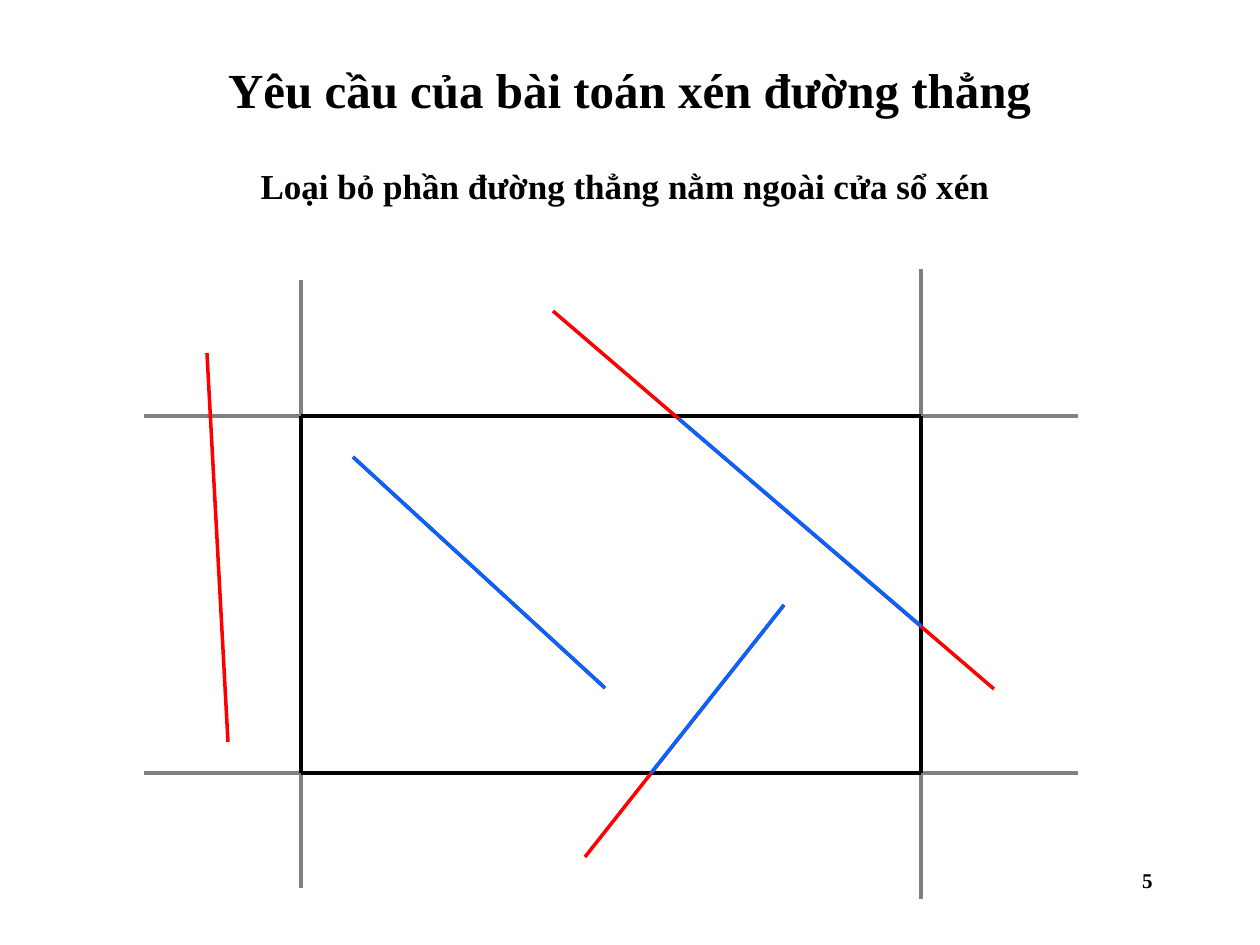
import pptx
import pptx.dml.color
import pptx.enum.shapes
import pptx.enum.text
import pptx.oxml.ns
import pptx.util
import lxml.etree

EMU_PER_PX = 914400 / 126
FONT = "Times New Roman"
BLACK, GRAY, RED, BLUE = "000000", "808080", "FF0000", "0066FF"
LEFT, RIGHT, TOP, BOTTOM = 301, 921, 416, 773


def px(length):
    return pptx.util.Emu(round(length * EMU_PER_PX))


def color(value):
    return pptx.dml.color.RGBColor.from_string(value)


def set_values(target, values):
    for name, value in values.items():
        setattr(target, name, value)


def write_text(shape, box, text, size, alignment, anchor):
    set_values(shape, dict(zip(("left", "top", "width", "height"), map(px, box))))
    frame = shape.text_frame
    set_values(frame, {
        "word_wrap": True,
        "auto_size": pptx.enum.text.MSO_AUTO_SIZE.NONE,
        "vertical_anchor": anchor,
    })
    paragraph = frame.paragraphs[0]
    paragraph.text = text
    set_values(paragraph, {"alignment": alignment, "space_before": pptx.util.Pt(0)})
    font = paragraph.runs[0].font
    set_values(font, {"name": FONT, "size": pptx.util.Pt(size), "bold": True})
    font.color.rgb = color(BLACK)
    return paragraph


def remove_bullet(paragraph):
    properties = paragraph._p.get_or_add_pPr()
    set_values_xml = {"marL": "0", "indent": "0"}
    properties.attrib.update(set_values_xml)
    lxml.etree.SubElement(properties, pptx.oxml.ns.qn("a:buNone"))


def add_line(slide, ends, line_color):
    line = slide.shapes.add_connector(
        pptx.enum.shapes.MSO_CONNECTOR.STRAIGHT, *map(px, ends))
    line.line.color.rgb = color(line_color)
    line.line.width = pptx.util.Pt(2)
    lxml.etree.SubElement(line._element.spPr, pptx.oxml.ns.qn("a:effectLst"))


def add_clip_window(slide):
    guides = [
        (LEFT, 280, LEFT, 888),
        (RIGHT, 269, RIGHT, 899),
        (144, TOP, 1078, TOP),
        (144, BOTTOM, 1078, BOTTOM),
    ]
    edges = [
        (LEFT, TOP, LEFT, BOTTOM),
        (LEFT, TOP, RIGHT, TOP),
        (LEFT, BOTTOM, RIGHT, BOTTOM),
        (RIGHT, TOP, RIGHT, BOTTOM),
    ]
    for lines, line_color in ((guides, GRAY), (edges, BLACK)):
        for ends in lines:
            add_line(slide, ends, line_color)


def add_clipped_lines(slide):
    inside = (353, 457, 605, 688)
    full_lines = [
        inside,
        (207, 353, 228, 742),
        (585, 857, 784, 605),
        (553, 311, 994, 689),
    ]
    visible_parts = [
        (651, BOTTOM, 784, 605),
        (679, 419, RIGHT, 626),
        inside,
    ]
    for lines, line_color in ((full_lines, RED), (visible_parts, BLUE)):
        for ends in lines:
            add_line(slide, ends, line_color)


def main():
    presentation = pptx.Presentation()
    set_values(presentation, {"slide_width": px(1260), "slide_height": px(945)})
    slide = presentation.slides.add_slide(presentation.slide_layouts[1])
    align = pptx.enum.text.PP_ALIGN
    anchor = pptx.enum.text.MSO_ANCHOR

    write_text(slide.shapes.title, (94, 42, 1071, 94),
               "Yêu cầu của bài toán xén đường thẳng", 28, align.CENTER, anchor.MIDDLE)
    subtitle = write_text(slide.placeholders[1], (94, 158, 1071, 92),
                          "Loại bỏ phần đường thẳng nằm ngoài cửa sổ xén ",
                          20, align.CENTER, anchor.TOP)
    remove_bullet(subtitle)
    add_clip_window(slide)
    add_clipped_lines(slide)
    page_box = (903, 861, 262, 63)
    write_text(slide.shapes.add_textbox(*map(px, page_box)), page_box,
               "5", 12, align.RIGHT, anchor.TOP)
    presentation.save("out.pptx")


if __name__ == "__main__":
    main()
